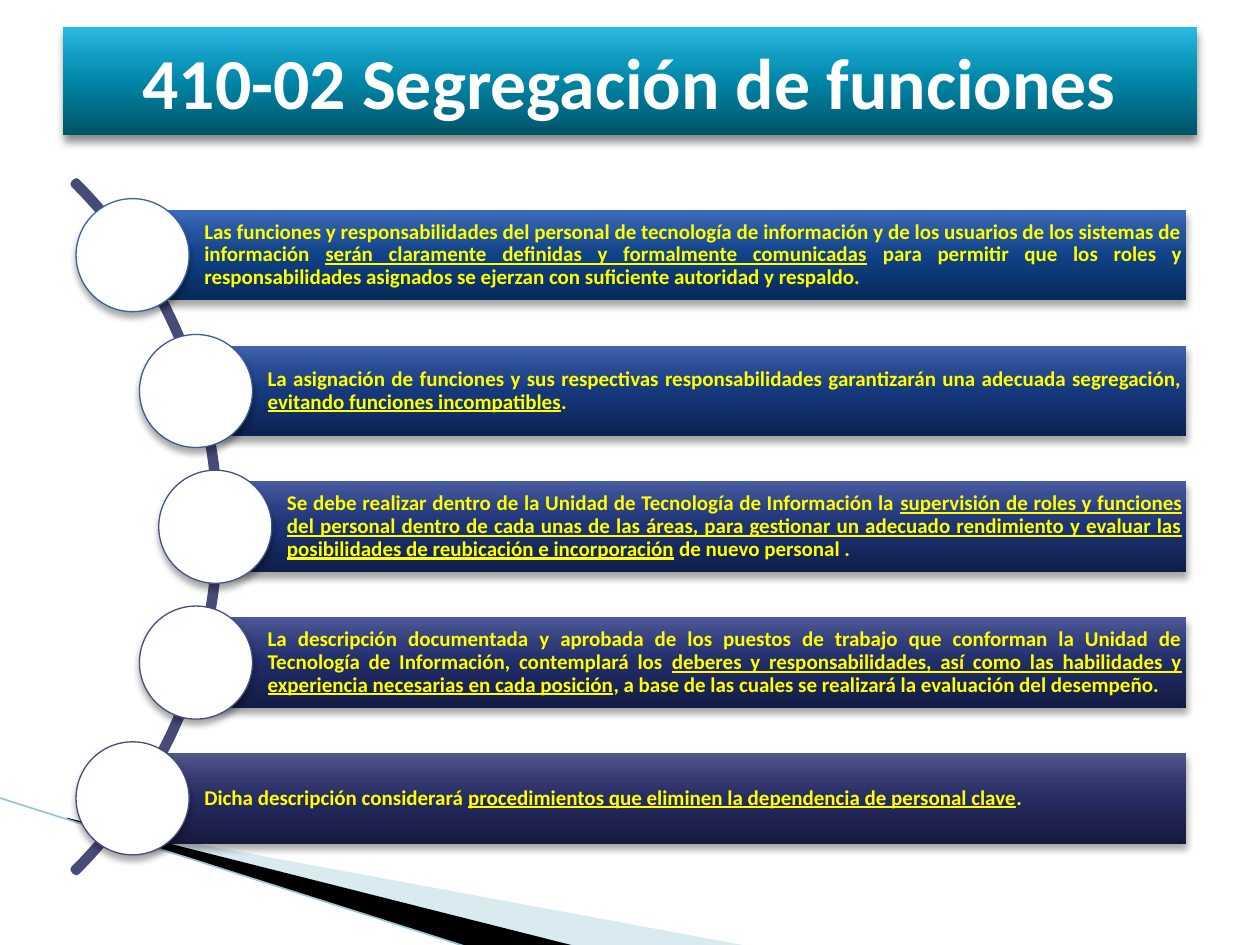
import math
import pptx
import pptx.util
import pptx.dml.color
import pptx.enum.shapes
import pptx.enum.text
import pptx.oxml.ns
from lxml import etree

Pt = pptx.util.Pt
qn = pptx.oxml.ns.qn
SHAPE = pptx.enum.shapes.MSO_SHAPE
ALIGN = pptx.enum.text.PP_ALIGN

TITLE = "410-02 Segregación de funciones"

# Plain opening, underlined key phrase, plain ending
DUTIES = [
    ("Las funciones y responsabilidades del personal de tecnología de información y de los "
     "usuarios de los sistemas de información ",
     "serán claramente definidas y formalmente comunicadas",
     " para permitir que los roles y responsabilidades asignados se ejerzan con suficiente "
     "autoridad y respaldo. "),
    ("La asignación de funciones y sus respectivas responsabilidades garantizarán una adecuada "
     "segregación, ",
     "evitando funciones incompatibles",
     ". "),
    ("Se debe realizar dentro de la Unidad de Tecnología de Información la ",
     "supervisión de roles y funciones del personal dentro de cada unas de las áreas, para "
     "gestionar un adecuado rendimiento y evaluar las posibilidades de reubicación e incorporación",
     " de nuevo personal ."),
    ("La descripción documentada y aprobada de los puestos de trabajo que conforman la Unidad de "
     "Tecnología de Información, contemplará los ",
     "deberes y responsabilidades, así como las habilidades y experiencia necesarias en cada posición",
     ", a base de las cuales se realizará la evaluación del desempeño. "),
    ("Dicha descripción considerará ",
     "procedimientos que eliminen la dependencia de personal clave",
     "."),
]

THEME = {
    "font": "Calibri",
    "title_size": 41,
    "body_size": 12,
    "title_text": "FFFFFF",
    "body_text": "FFFF00",
    "circle": "FFFFFF",
    "arc": "474B78",
    "pale_wedge": "A0CBDC",
    "dark_wedge": "000000",
    "edge": "97C5D8",
    "stops": (0, 50, 70, 100),
    "title_gradient": ("005367", "0086A7", "0E9ABE", "2CB9E3"),
    "bar_gradients": [
        ("072956", "104288", "205199", "3D6BB9"),
        ("0C2250", "16397D", "25478E", "4262AD"),
        ("0F1E49", "1C3274", "2B4084", "485BA2"),
        ("131B43", "212D6A", "303C7A", "4D5797"),
        ("171A3D", "262B61", "353970", "51568D"),
    ],
    "rings": ("39639D", "3D5A93", "41538A", "444E81", "474B78"),
}

# Lengths in points
PALE_WEDGE = [(39.6, 468.7), (428.4, 540.7), (328.3, 540.7), (39.6, 468)]
DARK_WEDGE = [(38.2, 467.3), (329, 540.7), (267.8, 541.4), (38.9, 468)]
EDGE = [(-0.7, 455.8), (267.8, 541.4)]
ARC_X, ARC_Y, ARC_RADIUS = -153.4, 301, 278.6
ARC_INSET = 2.2
ROW_PITCH = 77.6
BAR_RIGHT, BAR_HEIGHT = 678, 51.7
CIRCLE = 64.6


def rgb(code):
    return pptx.dml.color.RGBColor.from_string(code)


def add_child(parent, tag, **attributes):
    return etree.SubElement(parent, qn(tag), {k: str(v) for k, v in attributes.items()})


def add_alpha(color, percent):
    add_child(color, "a:alpha", val=percent * 1000)


def add_shape(slide, preset, left, top, width, height):
    shape = slide.shapes.add_shape(preset, Pt(left), Pt(top), Pt(width), Pt(height))
    shape.shadow.inherit = False
    shape.line.fill.background()
    return shape


def fill_gradient(shape, colors):
    """Run the colors from the bottom edge to the top edge."""
    shape.fill.gradient()
    shape.fill.gradient_angle = 90
    stop_list = shape._element.spPr.find(".//" + qn("a:gsLst"))
    for stop in list(stop_list):
        stop_list.remove(stop)
    for position, color in zip(THEME["stops"], colors):
        stop = add_child(stop_list, "a:gs", pos=position * 1000)
        add_child(stop, "a:srgbClr", val=color)


def drop_shadow(shape, opacity=35, blur=4, distance=3):
    effects = shape._element.spPr.find(qn("a:effectLst"))
    shadow = add_child(effects, "a:outerShdw", blurRad=Pt(blur), dist=Pt(distance),
                       dir=90 * 60000, rotWithShape=0)
    add_alpha(add_child(shadow, "a:srgbClr", val="000000"), opacity)


def outline(shape, color, width):
    shape.line.color.rgb = rgb(color)
    shape.line.width = Pt(width)


def style_run(run, size, color):
    run.font.name = THEME["font"]
    run.font.size = Pt(size)
    run.font.bold = True
    run.font.color.rgb = rgb(color)


def add_wedge(slide, corners, color):
    points = [(Pt(x), Pt(y)) for x, y in corners]
    builder = slide.shapes.build_freeform(*points[0])
    builder.add_line_segments(points[1:], close=True)
    wedge = builder.convert_to_shape()
    wedge.shadow.inherit = False
    wedge.line.fill.background()
    wedge.fill.solid()
    wedge.fill.fore_color.rgb = rgb(color)
    return wedge


def add_backdrop(slide):
    pale = add_wedge(slide, PALE_WEDGE, THEME["pale_wedge"])
    add_alpha(pale._element.spPr.find(".//" + qn("a:srgbClr")), 40)
    add_wedge(slide, DARK_WEDGE, THEME["dark_wedge"])
    ends = [Pt(value) for point in EDGE for value in point]
    edge = slide.shapes.add_connector(pptx.enum.shapes.MSO_CONNECTOR.STRAIGHT, *ends)
    outline(edge, THEME["edge"], 0.95)
    add_child(edge._element.spPr, "a:effectLst")


def add_arc(slide):
    arc = add_shape(slide, SHAPE.BLOCK_ARC, ARC_X - ARC_RADIUS, ARC_Y - ARC_RADIUS,
                    2 * ARC_RADIUS, 2 * ARC_RADIUS)
    for index, value in enumerate((189, 27, 0.003)):
        arc.adjustments[index] = value
    arc.fill.background()
    outline(arc, THEME["arc"], 4.33)


def add_duty(slide, index, parts):
    """Place a bar and its circle where the row crosses the arc."""
    rise = (index - (len(DUTIES) - 1) / 2) * ROW_PITCH
    x = ARC_X + math.sqrt(ARC_RADIUS ** 2 - rise ** 2) - ARC_INSET
    y = ARC_Y + rise

    bar = add_shape(slide, SHAPE.RECTANGLE, x, y - BAR_HEIGHT / 2, BAR_RIGHT - x, BAR_HEIGHT)
    fill_gradient(bar, THEME["bar_gradients"][index])
    drop_shadow(bar)
    frame = bar.text_frame
    frame.word_wrap = True
    frame.vertical_anchor = pptx.enum.text.MSO_ANCHOR.MIDDLE
    frame.margin_left = Pt(41)
    frame.margin_top = frame.margin_right = frame.margin_bottom = Pt(2.4)
    paragraph = frame.paragraphs[0]
    paragraph.alignment = ALIGN.JUSTIFY
    paragraph.line_spacing = 0.9
    for part, underlined in zip(parts, (False, True, False)):
        run = paragraph.add_run()
        run.text = part
        style_run(run, THEME["body_size"], THEME["body_text"])
        run.font.underline = underlined

    circle = add_shape(slide, SHAPE.OVAL, x - CIRCLE / 2, y - CIRCLE / 2, CIRCLE, CIRCLE)
    circle.fill.solid()
    circle.fill.fore_color.rgb = rgb(THEME["circle"])
    outline(circle, THEME["rings"][index], 0.75)
    drop_shadow(circle)


def add_title(slide):
    banner = add_shape(slide, SHAPE.RECTANGLE, 36, 15.6, 648, 61.7)
    fill_gradient(banner, THEME["title_gradient"])
    drop_shadow(banner, opacity=45, blur=5)
    banner.text_frame.text = TITLE
    banner.text_frame.vertical_anchor = pptx.enum.text.MSO_ANCHOR.MIDDLE
    heading = banner.text_frame.paragraphs[0]
    heading.alignment = ALIGN.CENTER
    style_run(heading.runs[0], THEME["title_size"], THEME["title_text"])


def main():
    deck = pptx.Presentation()
    deck.slide_width, deck.slide_height = Pt(720), Pt(540)
    slide = deck.slides.add_slide(deck.slide_layouts[6])
    add_backdrop(slide)
    add_arc(slide)
    for index, parts in enumerate(DUTIES):
        add_duty(slide, index, parts)
    add_title(slide)
    deck.save("out.pptx")


if __name__ == "__main__":
    main()
